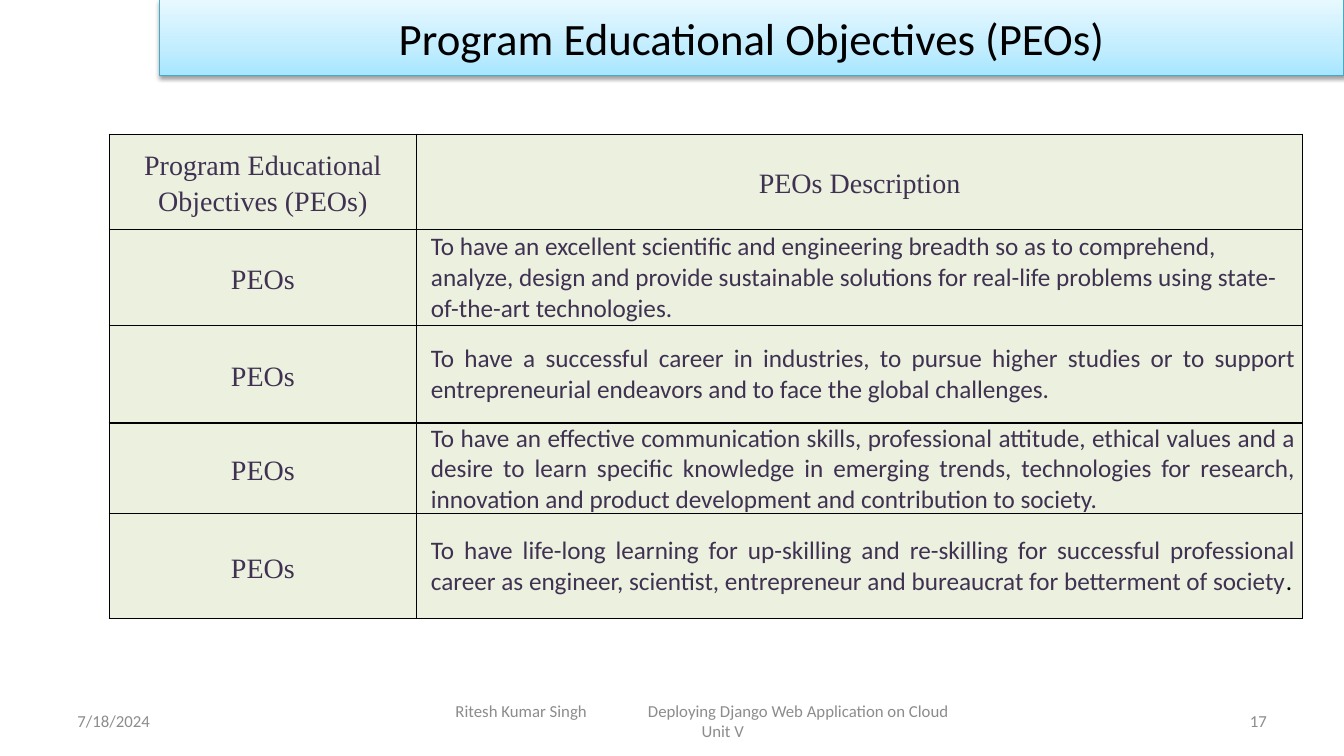
from lxml import etree
from pptx import Presentation
from pptx.dml.color import RGBColor
from pptx.enum.shapes import MSO_SHAPE
from pptx.enum.text import MSO_ANCHOR, PP_ALIGN
from pptx.oxml import parse_xml
from pptx.oxml.ns import qn
from pptx.util import Cm, Pt

LEFT, CENTER, RIGHT, JUSTIFY = PP_ALIGN.LEFT, PP_ALIGN.CENTER, PP_ALIGN.RIGHT, PP_ALIGN.JUSTIFY
MIDDLE = MSO_ANCHOR.MIDDLE
RECTANGLE = MSO_SHAPE.RECTANGLE

BLACK = RGBColor(0x00, 0x00, 0x00)
GREY = RGBColor(0x8C, 0x8C, 0x8C)
PURPLE = RGBColor(0x40, 0x31, 0x52)
PALE_GREEN = RGBColor(0xEB, 0xF1, 0xDE)
TEAL = RGBColor(0x46, 0xAA, 0xC5)
SKY_STOPS = [(0, RGBColor(0xA7, 0xE6, 0xFF)), (35, RGBColor(0xC1, 0xED, 0xFF)),
             (100, RGBColor(0xE7, 0xF8, 0xFF))]

SANS, SERIF = "Calibri", "Times New Roman"
NS = 'xmlns:a="http://schemas.openxmlformats.org/drawingml/2006/main"'

HEADERS = ["Program Educational Objectives (PEOs)", "PEOs Description"]
OBJECTIVES = [
    "To have an excellent scientific and engineering breadth so as to comprehend, analyze, design "
    "and provide sustainable solutions for real-life problems using state-of-the-art technologies.",
    "To have a successful career in industries, to pursue higher studies or to support "
    "entrepreneurial endeavors and to face the global challenges.",
    "To have an effective communication skills, professional attitude, ethical values and a desire "
    "to learn specific knowledge in emerging trends, technologies for research, innovation and "
    "product development and contribution to society.",
    "To have life-long learning for up-skilling and re-skilling for successful professional career "
    "as engineer, scientist, entrepreneur and bureaucrat for betterment of society",
]
ROW_HEIGHTS = [2.41, 2.41, 2.46, 2.18, 2.64]
COLUMN_WIDTHS = [7.75, 22.33]


def add_run(p, text, size=18, font=SANS, color=PURPLE, align=LEFT, spacing=None, indent=None):
    p.alignment = align
    if spacing:
        p.line_spacing = spacing
    if indent:
        p._p.get_or_add_pPr().set("marL", str(indent))
    r = p.add_run()
    r.text = text
    r.font.size = Pt(size)
    r.font.name = font
    r.font.color.rgb = color


def add_title_bar(slide, left, top, width, height):
    sp = slide.shapes.add_shape(RECTANGLE, left, top, width, height)
    sp.fill.gradient()
    sp.fill.gradient_angle = 90
    stops = sp._element.spPr.find(qn("a:gradFill")).find(qn("a:gsLst"))
    for stop in list(stops):
        stops.remove(stop)
    for percent, color in SKY_STOPS:
        stops.append(parse_xml(
            f'<a:gs {NS} pos="{percent * 1000}"><a:srgbClr val="{color}"/></a:gs>'))
    sp.line.color.rgb = TEAL
    sp.line.width = Pt(0.75)
    sp.shadow.inherit = False
    sp._element.spPr.find(qn("a:effectLst")).append(parse_xml(
        f'<a:outerShdw {NS} blurRad="{Pt(3.1)}" dist="{Pt(1.6)}" dir="5400000" rotWithShape="0">'
        f'<a:srgbClr val="{BLACK}"><a:alpha val="38000"/></a:srgbClr></a:outerShdw>'))
    tf = sp.text_frame
    tf.word_wrap = True
    tf.vertical_anchor = MIDDLE
    add_run(tf.paragraphs[0], "Program Educational Objectives (PEOs)", size=32, color=BLACK,
            align=CENTER)


def style_cell(cell):
    cell.fill.solid()
    cell.fill.fore_color.rgb = PALE_GREEN
    cell.vertical_anchor = MIDDLE
    cell.margin_left = cell.margin_right = Cm(0.18)
    cell.margin_top = cell.margin_bottom = 0
    tcPr = cell._tc.get_or_add_tcPr()
    for i, side in enumerate(["lnL", "lnR", "lnT", "lnB"]):
        tcPr.insert(i, parse_xml(
            f'<a:{side} {NS} w="{Pt(1)}"><a:solidFill><a:srgbClr val="{BLACK}"/></a:solidFill>'
            f'</a:{side}>'))


def add_objectives_table(slide, left, top, width, height):
    table = slide.shapes.add_table(len(ROW_HEIGHTS), len(COLUMN_WIDTHS),
                                   left, top, width, height).table
    table.first_row = table.horz_banding = False
    for column, column_width in zip(table.columns, COLUMN_WIDTHS):
        column.width = Cm(column_width)
    for row, row_height in zip(table.rows, ROW_HEIGHTS):
        row.height = Cm(row_height)
    for cell in table.iter_cells():
        style_cell(cell)

    label = dict(size=20, font=SERIF, align=CENTER, spacing=1.15)
    for c, header in enumerate(HEADERS):
        add_run(table.cell(0, c).text_frame.paragraphs[0], header, **label)
    for i, objective in enumerate(OBJECTIVES, start=1):
        add_run(table.cell(i, 0).text_frame.paragraphs[0], "PEOs", **label)
        p = table.cell(i, 1).text_frame.paragraphs[0]
        align = LEFT if i == 1 else JUSTIFY
        add_run(p, objective, align=align, indent=Cm(0.18))
    add_run(p, ".", color=BLACK, align=JUSTIFY)


def add_footer_box(slide, left, top, width, height):
    tf = slide.shapes.add_textbox(left, top, width, height).text_frame
    tf.word_wrap = True
    tf.vertical_anchor = MIDDLE
    return tf


def add_footer(slide, left, top, width, height):
    """Place the date, the lecture name and the page number on one line."""
    side = Cm(7.9)
    small = dict(size=12, color=GREY)
    date = add_footer_box(slide, left, top, side, height)
    add_run(date.paragraphs[0], "7/18/2024", **small)

    lecture = add_footer_box(slide, left + Cm(9.53), top, Cm(13.97), height)
    p = lecture.paragraphs[0]
    tabs = etree.SubElement(p._p.get_or_add_pPr(), qn("a:tabLst"))
    etree.SubElement(tabs, qn("a:tab"), pos=str(Cm(4.85)), algn="l")
    add_run(p, "Ritesh Kumar Singh\tDeploying Django Web Application on Cloud", **small)
    add_run(lecture.add_paragraph(), "Unit V", align=CENTER, **small)

    page = add_footer_box(slide, left + width - side, top, side, height)
    add_run(page.paragraphs[0], "17", align=RIGHT, **small)


def main():
    prs = Presentation()
    prs.slide_width, prs.slide_height = Cm(33.87), Cm(19.05)
    slide = prs.slides.add_slide(prs.slide_layouts[6])
    add_footer(slide, Cm(1.7), Cm(17.65), Cm(30.48), Cm(1.02))
    add_title_bar(slide, Cm(4.02), 0, Cm(29.85), Cm(1.9))
    add_objectives_table(slide, Cm(2.75), Cm(3.38), Cm(sum(COLUMN_WIDTHS)), Cm(sum(ROW_HEIGHTS)))
    prs.save("out.pptx")


if __name__ == "__main__":
    main()
